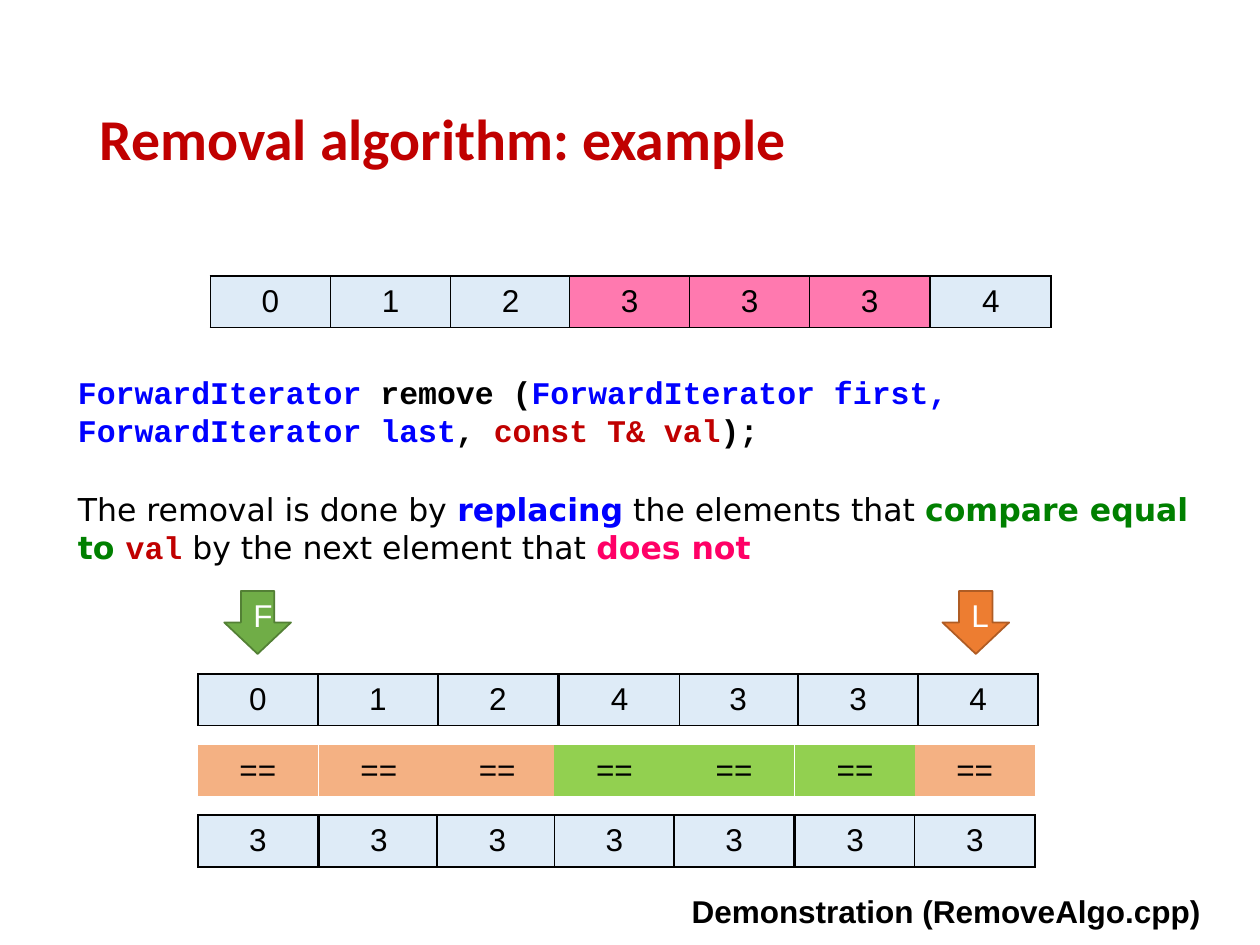
from dataclasses import dataclass

from lxml import etree
from pptx import Presentation
from pptx.dml.color import RGBColor
from pptx.enum.shapes import MSO_SHAPE
from pptx.enum.text import MSO_ANCHOR, MSO_AUTO_SIZE, PP_ALIGN
from pptx.oxml.ns import qn
from pptx.util import Inches, Pt

DOWN_ARROW = MSO_SHAPE.DOWN_ARROW
MIDDLE = MSO_ANCHOR.MIDDLE
FIT_SHAPE = MSO_AUTO_SIZE.SHAPE_TO_FIT_TEXT
LEFT, CENTER = PP_ALIGN.LEFT, PP_ALIGN.CENTER
TITLE_ONLY = 5


@dataclass(frozen=True)
class Theme:
    title_font: str = "Calibri"
    font: str = "Arial"
    code_font: str = "Courier New"
    prose_font: str = "DejaVu Sans"
    title_size: int = 33
    size: int = 18
    black: str = "000000"
    white: str = "FFFFFF"
    red: str = "C00000"
    blue: str = "0000FF"
    green: str = "008000"
    pink: str = "FF0066"
    cell: str = "DEEBF7"
    removed: str = "FF79AF"
    differs: str = "F4B183"
    equal: str = "92D050"
    first: str = "70AD47"
    first_line: str = "538035"
    last: str = "ED7D31"
    last_line: str = "AF5C24"


class SlideBuilder:
    CELL_W, CELL_H = 0.953, 0.41

    def __init__(self, slide, theme):
        self.slide = slide
        self.theme = theme

    def add_run(self, p, text, color, **fmt):
        r = p.add_run()
        r.text = text
        values = {"name": self.theme.font, "size": Pt(self.theme.size),
                  "bold": False, **fmt}
        for key, value in values.items():
            setattr(r.font, key, value)
        r.font.color.rgb = RGBColor.from_string(color)

    def title(self, text, x, y, w, h):
        s = self.slide.shapes.title
        box = {"left": x, "top": y, "width": w, "height": h}
        for key, value in box.items():
            setattr(s, key, Inches(value))
        s.text_frame.vertical_anchor = MIDDLE
        p = s.text_frame.paragraphs[0]
        p.alignment = LEFT
        p.line_spacing = 0.9
        self.add_run(p, text, self.theme.red, name=self.theme.title_font,
                     size=Pt(self.theme.title_size), bold=True)

    def text(self, runs, x, y, w, h, wrap=True):
        """Add a text box; each run is (text, colour, font name, bold)."""
        box = self.slide.shapes.add_textbox(*map(Inches, (x, y, w, h)))
        tf = box.text_frame
        tf.word_wrap = wrap
        tf.auto_size = FIT_SHAPE
        for text, color, name, bold in runs:
            self.add_run(tf.paragraphs[0], text, color, name=name, bold=bold)

    def arrow(self, label, x, fill, line):
        s = self.slide.shapes.add_shape(
            DOWN_ARROW, *map(Inches, (x, 4.69, 0.53, 0.5)))
        s.shadow.inherit = False
        s.fill.solid()
        s.fill.fore_color.rgb = RGBColor.from_string(fill)
        s.line.color.rgb = RGBColor.from_string(line)
        s.line.width = Pt(1)
        s.text_frame.vertical_anchor = MIDDLE
        p = s.text_frame.paragraphs[0]
        p.alignment = CENTER
        self.add_run(p, label, self.theme.white)

    def borders(self, cell, visible):
        tc_pr = cell._tc.get_or_add_tcPr()
        for side in ("lnL", "lnR", "lnT", "lnB"):
            ln = etree.SubElement(tc_pr, qn(f"a:{side}"), w=str(Pt(1)))
            if visible:
                fill = etree.SubElement(ln, qn("a:solidFill"))
                etree.SubElement(fill, qn("a:srgbClr"), val=self.theme.black)
            else:
                etree.SubElement(ln, qn("a:noFill"))

    def row(self, values, x, y, fill, bordered=True):
        """Add a one-row table with one cell for each value."""
        n = len(values)
        frame = self.slide.shapes.add_table(
            1, n, *map(Inches, (x, y, n * self.CELL_W, self.CELL_H)))
        table = frame.table
        table.first_row = table.horz_banding = False
        for cell, value in zip(table.iter_cells(), values):
            self.borders(cell, bordered)
            cell.fill.solid()
            cell.fill.fore_color.rgb = RGBColor.from_string(fill)
            cell.vertical_anchor = MIDDLE
            p = cell.text_frame.paragraphs[0]
            p.alignment = CENTER
            self.add_run(p, value, self.theme.black)


def main():
    prs = Presentation()
    prs.slide_width, prs.slide_height = Inches(10), Inches(7.5)
    t = Theme()
    b = SlideBuilder(prs.slides.add_slide(prs.slide_layouts[TITLE_ONLY]), t)

    b.title("Removal algorithm: example", 0.69, 0.4, 8.62, 1.45)

    numbers = "0123334"
    b.row(numbers, 1.67, 2.19, t.cell)
    b.row("333", 4.52, 2.19, t.removed)

    signature = [
        ("ForwardIterator ", t.blue),
        ("remove (", t.black),
        ("ForwardIterator first, ForwardIterator last", t.blue),
        (", ", t.black),
        ("const T& val", t.red),
        (");", t.black),
    ]
    b.text([(text, color, t.code_font, True) for text, color in signature],
           0.52, 2.91, 8.79, 0.71)
    b.text([
        ("The removal is done by ", t.black, t.prose_font, False),
        ("replacing", t.blue, t.prose_font, True),
        (" the elements that ", t.black, t.prose_font, False),
        ("compare equal to ", t.green, t.prose_font, True),
        ("val", t.red, t.code_font, True),
        (" by the next element that ", t.black, t.prose_font, False),
        ("does not", t.pink, t.prose_font, True),
    ], 0.52, 3.84, 9.22, 0.71)

    b.arrow("F", 1.78, t.first, t.first_line)
    b.arrow("L", 7.48, t.last, t.last_line)

    b.row(numbers, 1.57, 5.35, t.cell)
    b.row("4", 4.44, 5.35, t.cell)

    column_lefts = (1.57, 2.53, 3.47, 4.4, 5.35, 6.31, 7.26)
    for x, number in zip(column_lefts, numbers):
        result = t.equal if number == "3" else t.differs
        b.row("3", x, 6.47, t.cell)
        b.row(["=="], x, 5.91, result, bordered=False)

    b.text([("Demonstration (RemoveAlgo.cpp) ", t.black, t.font, True)],
           5.39, 7.03, 4.35, 0.4, wrap=False)

    prs.save("out.pptx")


if __name__ == "__main__":
    main()
